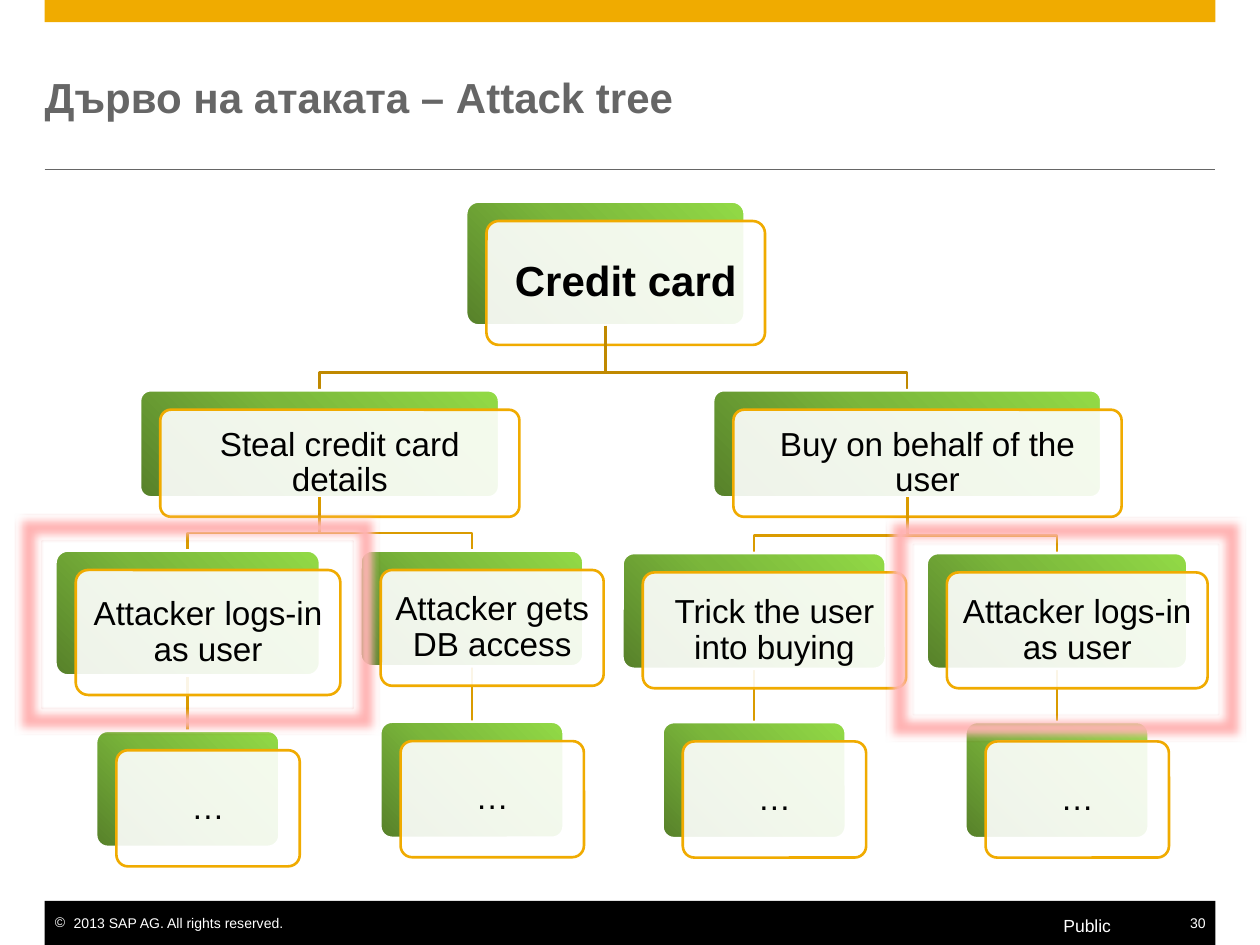
"""Build the attack tree slide with its stacked cards and highlighted leaves."""
from pptx import Presentation
from pptx import util as u
from pptx.dml.color import RGBColor
from pptx.enum import shapes, text
from pptx.oxml import parse_xml
from pptx.oxml.ns import nsdecls, qn

COLORS = {
    "gold": "F0AB00", "upper": "C08900", "lower": "DA9B00", "gray": "666666",
    "black": "000000", "white": "FFFFFF", "pink": "FFB3B3", "red": "C00000",
    "dark": "57812A", "mid": "7BB73B", "lime": "92DA46",
}
TITLE = "Дърво на атаката – Attack tree"
LEFT, WIDTH = 25.5, 669
OFFSET_X, OFFSET_Y = 11.6, 11.1
BEND = 10
LEAF = {"label": "…", "width": 104.8, "height": 66.4}
ROOT = {"label": "Credit card", "at": (266.4, 115.2, 159.2, 70.8), "size": 24, "bold": True, "margin": 7}
BRANCHES = [
    {"label": "Steal credit card details", "at": (80, 223, 205.2, 61.2), "children": [
        {"label": "Attacker gets DB access", "at": (206, 314.6, 127.4, 66.2), "leaf_gap": 31.6},
        {"label": "Attacker logs-in as user", "at": (31.7, 314.6, 151.2, 71.4), "leaf_gap": 31.6},
    ]},
    {"label": "Buy on behalf of the user", "at": (407.5, 223, 221.8, 61.2), "children": [
        {"label": "Trick the user into buying", "at": (355.7, 316, 150.5, 66.2), "leaf_gap": 30.4},
        {"label": "Attacker logs-in as user", "at": (529.5, 316, 149, 66.2), "leaf_gap": 30.4},
    ]},
]
HIGHLIGHTS = [(8.6, 293.8, 208.1, 126), (506.2, 295.2, 205.2, 128.2)]
FOOTER = [
    ("2013 SAP AG. All rights reserved.", (25.5, 522.7, 139, 9.4), 8, "LEFT", {"margin_left": u.Pt(5.8)}),
    ("30", (679, 522.7, 15.8, 9.4), 8, "RIGHT", {"margin_right": u.Pt(5.8)}),
    ("Public", (607.7, 522.7, 27.4, 12.2), 10, "LEFT", {}),
]


def rgb(name):
    return RGBColor.from_string(COLORS[name])


def points(values):
    return [u.Pt(value) for value in values]


def apply(target, values):
    for name, value in values.items():
        setattr(target, name, value)


def outline(item, color, width=1.5):
    item.line.color.rgb = rgb(color)
    item.line.width = u.Pt(width)


def add_box(page, kind, at, fill=None, line=None):
    box = page.shapes.add_shape(kind, *points(at))
    box.shadow.inherit = False
    if fill:
        box.fill.solid()
        box.fill.fore_color.rgb = rgb(fill)
    if line:
        outline(box, line)
    else:
        box.line.fill.background()
    return box


def add_line(page, start, end, color, width=1.5):
    line = page.shapes.add_connector(shapes.MSO_CONNECTOR.STRAIGHT, *points(start + end))
    outline(line, color, width)
    line._element.spPr.append(parse_xml(f"<a:effectLst {nsdecls('a')}/>"))
    return line


def write(box, words, size, color, align="LEFT", bold=False, spacing=None, margins=None, wrap=True):
    frame = box.text_frame
    apply(frame, {"margin_left": 0, "margin_right": 0, "margin_top": 0, "margin_bottom": 0,
                  "word_wrap": wrap, "vertical_anchor": text.MSO_ANCHOR.MIDDLE, **(margins or {})})
    para = frame.paragraphs[0]
    apply(para, {"alignment": getattr(text.PP_ALIGN, align), "line_spacing": spacing})
    span = para.add_run()
    span.text = words
    apply(span.font, {"name": "Arial", "size": u.Pt(size), "bold": bold})
    span.font.color.rgb = rgb(color)
    return para


def add_gradient(box):
    box.fill.background()
    stops = "".join(
        f'<a:gs pos="{place}"><a:srgbClr val="{COLORS[name]}"/></a:gs>'
        for place, name in ((0, "dark"), (50000, "mid"), (100000, "lime")))
    gradient = parse_xml(f"<a:gradFill {nsdecls('a')}><a:gsLst>{stops}</a:gsLst>"
                         '<a:lin ang="18900000" scaled="0"/></a:gradFill>')
    properties = box._element.spPr
    properties.replace(properties.find(qn("a:noFill")), gradient)


def add_card(page, label, at, size=19, bold=False, margin=5):
    left, top, width, height = at
    rounded = shapes.MSO_SHAPE.ROUNDED_RECTANGLE
    back = add_box(page, rounded, at, line="white")
    add_gradient(back)
    front = add_box(page, rounded, (left + OFFSET_X, top + OFFSET_Y, width, height), "white", "gold")
    solid = front._element.spPr.find(qn("a:solidFill"))
    solid[0].append(parse_xml(f'<a:alpha {nsdecls("a")} val="90000"/>'))
    for box in (back, front):
        box.adjustments[0] = 0.1
    inset = {f"margin_{side}": u.Pt(margin) for side in ("left", "right", "top", "bottom")}
    write(front, label, size, "black", "CENTER", bold, 0.9, inset)
    return back


def middle(at):
    return at[0] + at[2] / 2


def add_elbow(page, parent, child, color):
    start = (middle(parent), parent[1] + parent[3])
    bend = child[1] - BEND
    route = [(start[0], bend), (middle(child), bend), (middle(child), child[1])]
    builder = page.shapes.build_freeform(*points(start))
    builder.add_line_segments([points(stop) for stop in route], close=False)
    elbow = builder.convert_to_shape()
    elbow.shadow.inherit = False
    elbow.fill.background()
    outline(elbow, color)


def add_goal(page, parent, goal):
    at = goal["at"]
    center, bottom = middle(at), at[1] + at[3]
    leaf_top = bottom + goal["leaf_gap"]
    drop = add_line(page, (center, bottom), (center, leaf_top), "lower")
    leaf_at = (center - LEAF["width"] / 2, leaf_top, LEAF["width"], LEAF["height"])
    leaf = add_card(page, LEAF["label"], leaf_at)
    add_elbow(page, parent, at, "lower")
    card = add_card(page, goal["label"], at)
    drop.begin_connect(card, 2)
    drop.end_connect(leaf, 0)


def add_highlight(page, at):
    frame = add_box(page, shapes.MSO_SHAPE.FRAME, at, "pink", "red")
    effects = frame._element.spPr.find(qn("a:effectLst"))
    effects.append(parse_xml(f'<a:softEdge {nsdecls("a")} rad="63500"/>'))


def add_surroundings(page):
    rectangle = shapes.MSO_SHAPE.RECTANGLE
    add_box(page, rectangle, (LEFT, 0, WIDTH, 12.6), "gold")
    add_line(page, (LEFT, 97), (LEFT + WIDTH, 97), "gray", 0.5)
    add_box(page, rectangle, (LEFT, 514.8, WIDTH, 25.2), "black")
    notes = []
    for words, at, size, align, margins in FOOTER:
        box = page.shapes.add_textbox(*points(at))
        notes.append(write(box, words, size, "white", align, margins=margins, wrap=False))
    properties = notes[0]._p.get_or_add_pPr()
    properties.set("marL", str(u.Pt(10.8)))
    properties.set("indent", str(u.Pt(-10.8)))
    properties.append(parse_xml(f'<a:buClr {nsdecls("a")}><a:srgbClr val="{COLORS["white"]}"/></a:buClr>'))
    properties.append(parse_xml(f'<a:buFont {nsdecls("a")} typeface="Arial"/>'))
    properties.append(parse_xml(f'<a:buChar {nsdecls("a")} char="©"/>'))
    title = page.shapes.add_textbox(*points((LEFT, 25.5, WIDTH, 60)))
    write(title, TITLE, 24, "gray", bold=True)


def main():
    deck = Presentation()
    deck.slide_width, deck.slide_height = points((720, 540))
    page = deck.slides.add_slide(deck.slide_layouts[6])
    add_surroundings(page)
    add_card(page, **ROOT)
    for branch in BRANCHES:
        add_elbow(page, ROOT["at"], branch["at"], "upper")
        add_card(page, branch["label"], branch["at"], margin=6)
        for goal in branch["children"]:
            add_goal(page, branch["at"], goal)
    for at in HIGHLIGHTS:
        add_highlight(page, at)
    deck.save("out.pptx")


if __name__ == "__main__":
    main()
